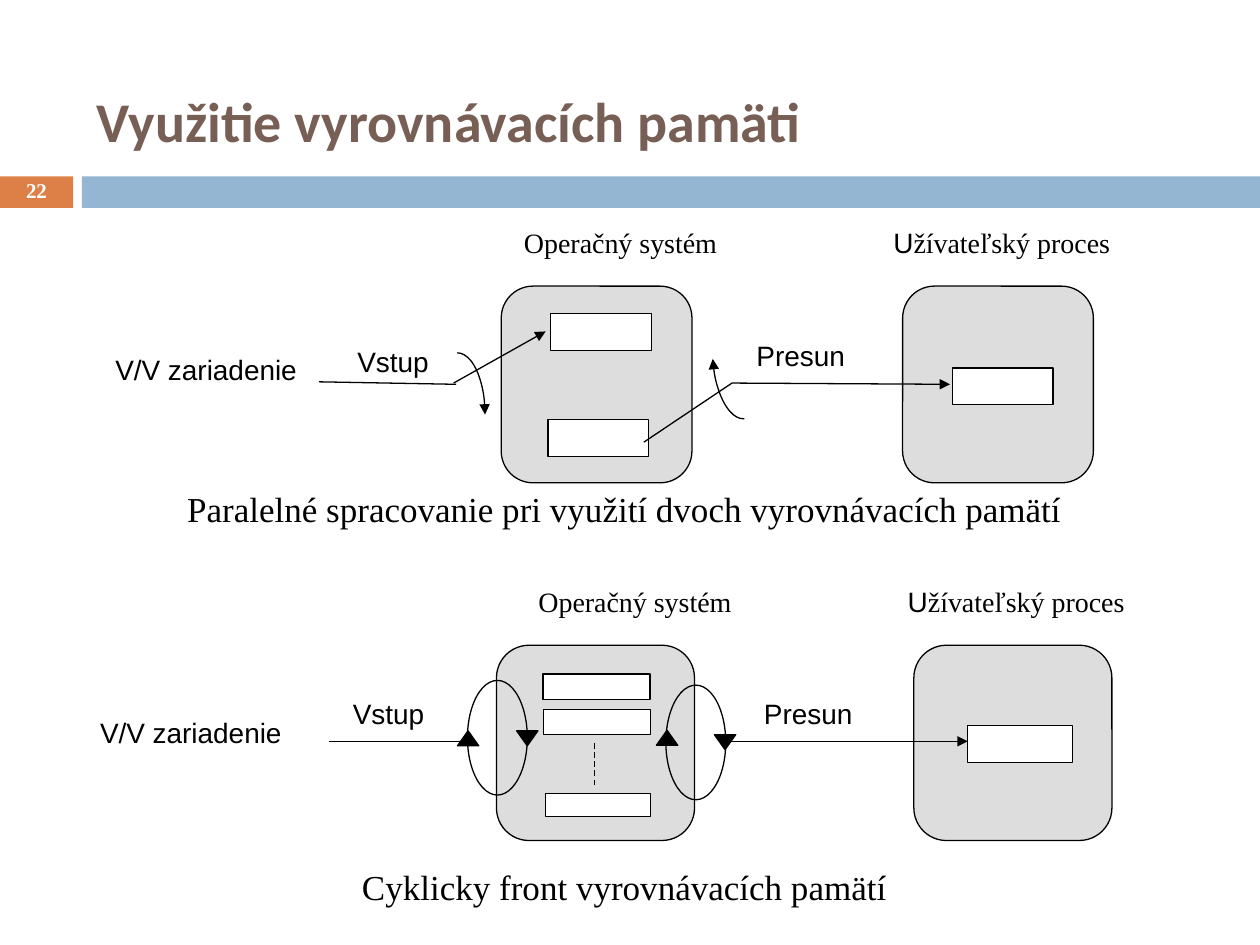
from dataclasses import dataclass
from pptx import Presentation
from pptx.dml.color import RGBColor as Rgb
from pptx.enum.dml import MSO_LINE as Dash
from pptx.enum.shapes import MSO_CONNECTOR as Link, MSO_SHAPE as Kind
from pptx.enum.text import MSO_ANCHOR as Anchor, PP_ALIGN as Align
from pptx.oxml.ns import qn
from pptx.util import Pt
from lxml.etree import SubElement as Sub


@dataclass(frozen=True)
class Theme:
    ink: str = "000000"
    paper: str = "FFFFFF"
    gray: str = "DDDDDD"
    blue: str = "94B6D2"
    orange: str = "DD8047"
    brown: str = "775F55"
    head: str = "Calibri"
    sans: str = "Arial"
    serif: str = "Times New Roman"
    title: float = 32
    caption: float = 20
    label: float = 16
    number: float = 12
    stroke: float = 0.75


T = Theme()


def put_text(shapes, box, runs, size, color=T.ink, bold=False,
             align=Align.CENTER, anchor=Anchor.TOP, pad=(0, 0)):
    item = shapes.add_textbox(*map(Pt, box))
    frame = item.text_frame
    frame.word_wrap = True
    frame.vertical_anchor = anchor
    frame.margin_left = frame.margin_right = Pt(pad[0])
    frame.margin_top = frame.margin_bottom = Pt(pad[1])
    para = frame.paragraphs[0]
    para.alignment = align
    for words, face in runs:
        run = para.add_run()
        run.text = words
        run.font.name = face
        run.font.size = Pt(size)
        run.font.bold = bold
        run.font.color.rgb = Rgb.from_string(color)
    return para


def ink_line(line, arrow=False):
    line.color.rgb = Rgb.from_string(T.ink)
    line.width = Pt(T.stroke)
    if arrow:
        Sub(line._get_or_add_ln(), qn("a:tailEnd"), type="triangle")


def put_shape(shapes, kind, box, fill=None, edge=True, turn=0, arrow=False):
    item = shapes.add_shape(kind, *map(Pt, box))
    item.shadow.inherit = False
    item.rotation = turn
    if fill:
        item.fill.solid()
        item.fill.fore_color.rgb = Rgb.from_string(fill)
    else:
        item.fill.background()
    if edge:
        ink_line(item.line, arrow)
    else:
        item.line.fill.background()
    return item


def put_line(shapes, start, end, arrow=False, dash=False):
    item = shapes.add_connector(Link.STRAIGHT, *map(Pt, (*start, *end)))
    Sub(item._element.spPr, qn("a:effectLst"))
    if dash:
        item.line.dash_style = Dash.DASH
    ink_line(item.line, arrow)


def draw_head(shapes, left, top, width, height):
    strip = top + 100.8
    for x, wide, fill in ((left, 41.76, T.orange), (left + 46.8, width - 46.8, T.blue)):
        put_shape(shapes, Kind.RECTANGLE, (x, strip, wide, height - 100.8), fill, edge=False)
    put_text(shapes, (left + 48, top + 41.8, 612, 54),
             [("Využitie vyrovnávacích pamäti", T.head)], T.title, T.brown, True,
             Align.LEFT, Anchor.MIDDLE, (7.2, 3.6))
    para = put_text(shapes, (left, strip - 0.7, 41.76, 19.4), [("22", T.serif)], T.number,
                    T.paper, True, anchor=Anchor.MIDDLE, pad=(7.2, 3.6))
    para.line_spacing = 0.8


def draw_base(shapes, left, top, blocks, labels, slots, lines):
    for x, y, wide, high in blocks:
        put_shape(shapes, Kind.ROUNDED_RECTANGLE, (left + x, top + y, wide, high), T.gray)
    for x, y, wide, high in slots:
        put_shape(shapes, Kind.RECTANGLE, (left + x, top + y, wide, high), T.paper)
    names = ([("Operačný systém", T.serif)],
             [("U", T.sans), ("žívateľský proces", T.serif)],
             [("V/V zariadenie", T.sans)], [("Vstup", T.sans)], [("Presun", T.sans)])
    for runs, (x, y, wide) in zip(names, labels):
        put_text(shapes, (left + x, top + y, wide, 27), runs, T.label)
    for x1, y1, x2, y2, arrow in lines:
        put_line(shapes, (left + x1, top + y1), (left + x2, top + y2), arrow)


def draw_note(shapes, left, top, words):
    put_text(shapes, (left, top, 558, 31.7), [(words, T.serif)], T.caption, pad=(7.2, 3.6))


def draw_pair(shapes, left, top):
    part = shapes.add_group_shape().shapes
    draw_base(
        part, left, top,
        blocks=[(x, 34.6, 109, 112.4) for x in (286.4, 515.8)],
        labels=[(270, 0, 169.2), (484.6, 0, 175.7), (41.8, 72.7, 151.9),
                (169.9, 67.7, 109.4), (381.6, 64.8, 151.9)],
        slots=[(x, y, 57.6, 20.9) for x, y in
               ((314.6, 50.4), (313.2, 110.9), (544.2, 81.4))],
        lines=[(182.2, 89.3, 260.6, 90.7, False), (259.2, 90, 311.8, 60.5, True),
               (418.3, 90, 367.9, 123.8, False), (418.3, 90, 542.9, 90.7, True)])
    for x, y, turn in ((245.5, 72.7, 0), (407.2, 39.9, 176.4)):
        put_shape(part, Kind.ARC, (left + x, top + y, 31.7, 70.6), turn=turn, arrow=True)
    draw_note(shapes, left + 77.8, top + 146.2,
              "Paralelné spracovanie pri využití dvoch vyrovnávacích pamätí")


def draw_ring(shapes, left, top):
    part = shapes.add_group_shape().shapes
    draw_base(
        part, left, top,
        blocks=[(x, 34.6, 113.2, 111.6) for x in (283.7, 522.2)],
        labels=[(267.1, 0, 191.5), (489.6, 0, 182.2), (30.2, 74.9, 157.7),
                (165.6, 64.1, 113), (383, 64.1, 157.7)],
        slots=[(310.3, 51.1, 61.2, 14.4), (310.7, 71.3, 61.2, 14.4),
               (311.8, 119.3, 59.8, 13), (553, 80.6, 59.8, 20.9)],
        lines=[(187.9, 89.8, 265.7, 89.8, False), (417.6, 89.5, 553, 89.5, True)])
    put_line(part, (left + 339.6, top + 90.7), (left + 339.6, top + 115.2), dash=True)
    for x, y in ((267.1, 54.7), (380.5, 57.4)):
        put_shape(part, Kind.OVAL, (left + x, top + y, 34.2, 65.5))
    for x, y, turn in ((261.4, 83.5, 0), (375.1, 83.2, 0),
                       (295.2, 83.5, 180), (408.2, 85.7, 180)):
        put_shape(part, Kind.ISOSCELES_TRIANGLE, (left + x, top + y, 12.2, 8.6),
                  T.ink, turn=turn)
    draw_note(shapes, left + 77.8, top + 157, "Cyklicky front vyrovnávacích pamätí")


def main():
    deck = Presentation()
    deck.slide_width, deck.slide_height = Pt(720), Pt(540)
    shapes = deck.slides.add_slide(deck.slide_layouts[6]).shapes
    draw_head(shapes, 0, 0, 720, 118.8)
    draw_pair(shapes, 0, 128.9)
    draw_ring(shapes, 0, 334.1)
    deck.save("out.pptx")


if __name__ == "__main__":
    main()
